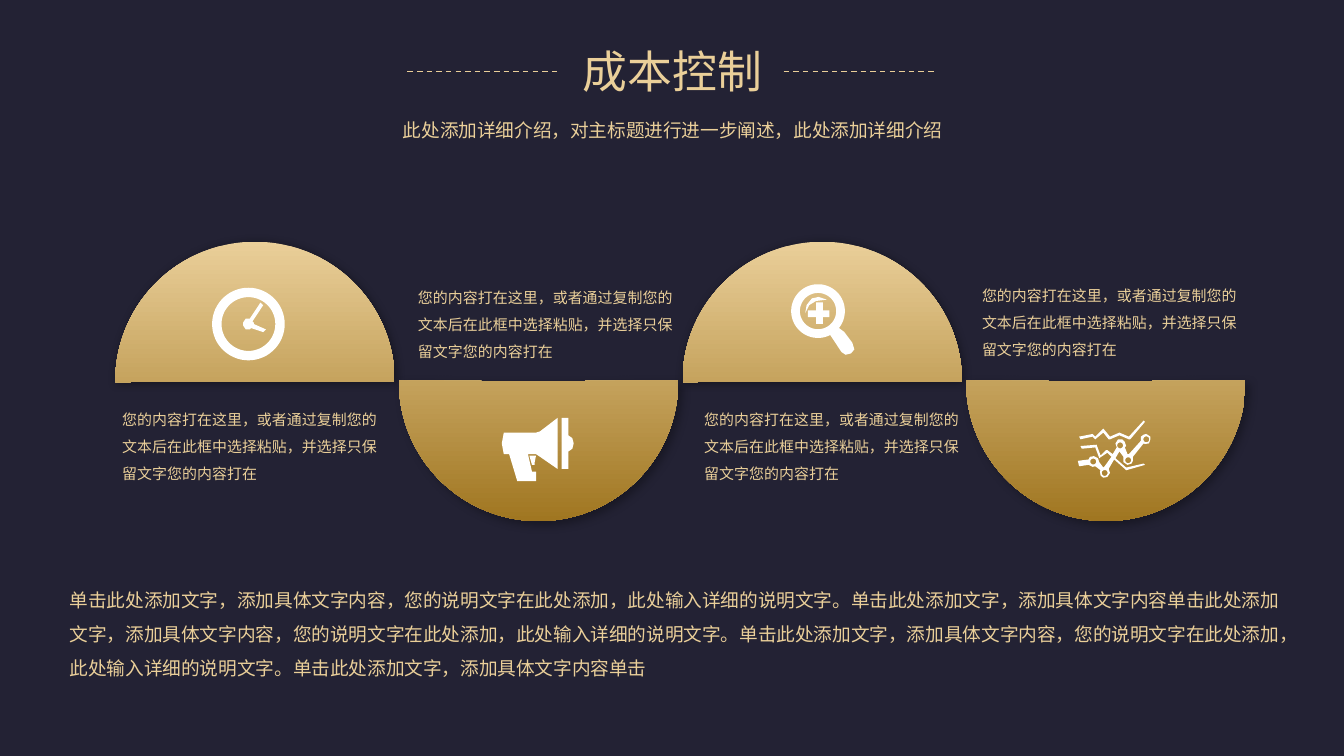
from math import cos, radians, sin

from lxml import etree
from pptx import Presentation
from pptx import util as u
from pptx.dml.color import RGBColor
from pptx.enum import dml, shapes, text
from pptx.oxml.ns import qn

NIGHT = RGBColor(0x23, 0x22, 0x34)
LIGHT_GOLD = RGBColor(0xEA, 0xCF, 0x99)
DARK_GOLD = RGBColor(0xA0, 0x76, 0x21)
WHITE = RGBColor(0xFF, 0xFF, 0xFF)
FONT = "Noto Sans CJK SC"
GRID = u.Cm(2.54) / 100  # unit of the icon drawings


def arc(cx, cy, r, start=0, end=360, step=6):
    """Points along a circle, clockwise from start to end in degrees."""
    return [(cx + r * cos(radians(a)), cy + r * sin(radians(a)))
            for a in range(start, end, step)]


# Icons: contours on the grid, where inner contours cut holes
CLOCK = [
    arc(27, 27, 27),
    arc(27, 27, 20),
    [(31, 26), (30, 25), (38, 13), (36, 11), (28, 23), (25, 23), (23, 26),
     (23, 28), (25, 31), (28, 31), (29, 30), (38, 33), (40, 31), (31, 27)],
]
MEGAPHONE = [
    [(2, 11), (26, 11), (29, 10), (42, 0), (42, 38), (29, 29), (26, 27), (20, 27),
     (23, 40), (26, 40), (26, 47), (12, 47), (6, 27), (2, 27), (0.5, 19)],
    [(50, 13), (53, 15), (54, 19), (53, 23), (50, 25), (50, 38), (45, 38),
     (45, 0), (50, 0)],
    [(26, 28), (21, 28), (23, 35), (25, 35), (25, 33)],
]
MAGNIFIER = [
    arc(20.5, 20.5, 20, 63, 401) + [
        (40, 36), (46, 44), (47.5, 49), (45, 52), (41, 53), (38, 51), (32, 42)],
    arc(20.5, 20.5, 13.5),
    [(19, 14), (24, 14), (24, 20), (29, 20), (29, 25), (24, 25),
     (24, 30), (19, 30), (19, 25), (13, 25), (13, 20), (19, 20)],
    [(11, 22), (14, 16), (19, 13), (27, 12), (21, 10), (16, 11), (12, 16)],
]
LINE_CHART = [
    [(0, 30), (8, 29), (9, 27), (12, 26.5), (15, 28), (16, 31), (19, 35), (20, 34),
     (25, 27), (22, 24), (16, 28), (13, 20), (3, 21), (2, 19), (14, 18), (17, 26),
     (21, 22), (22, 22), (26, 25), (29, 20), (28, 17), (30, 14), (33, 14), (35, 16),
     (36, 19), (35, 20), (37, 25), (38, 25), (47, 15), (47, 12), (49, 10.5),
     (51, 10), (54, 12), (54, 14), (53, 17), (50, 17.5), (49, 17), (41, 27),
     (41, 30), (40, 32), (37, 33), (34, 31), (34, 27), (31, 23), (28, 28), (36, 35),
     (49, 32), (50, 33), (36, 37), (35, 36), (27, 29), (23, 36), (24, 39), (22, 42),
     (19, 42.5), (17, 41), (16.5, 38), (17, 37), (13, 34), (11, 34.5), (8, 33),
     (1, 34)],
    [(1, 12), (2, 14), (11, 12), (13, 14), (19, 9), (23, 14), (24, 14), (31, 11),
     (38, 14), (39, 14), (50, 1), (49, 0), (38, 12), (31, 9), (24, 12), (19, 6),
     (13, 12), (11, 10)],
] + [arc(x, y, 2.2, step=20) for x, y in
     [(51, 14), (37.5, 29.5), (31.5, 18.5), (20, 39), (11.5, 30.5)]]


class Deck:
    def __init__(self, width, height):
        self.prs = Presentation()
        self.prs.slide_width, self.prs.slide_height = u.Cm(width), u.Cm(height)
        self.s = self.prs.slides.add_slide(self.prs.slide_layouts[6])
        self.s.background.fill.solid()
        self.s.background.fill.fore_color.rgb = NIGHT

    def gold(self, fill):
        fill.gradient()
        fill.gradient_angle = 270
        for stop, color in zip(fill.gradient_stops, (LIGHT_GOLD, DARK_GOLD)):
            stop.color.rgb = color

    def text(self, words, left, top, width, height, size, spacing=1.0, centred=False):
        sp = self.s.shapes.add_textbox(*map(u.Cm, (left, top, width, height)))
        tf = sp.text_frame
        tf.word_wrap = True
        p = tf.paragraphs[0]
        p.line_spacing = spacing
        p.alignment = text.PP_ALIGN.CENTER if centred else text.PP_ALIGN.LEFT
        r = p.add_run()
        r.text = words
        r.font.size = u.Pt(size)
        self.gold(r.font.fill)
        r.font.name = FONT
        etree.SubElement(r.font._element, qn("a:ea"), typeface=FONT)

    def half_disc(self, group, left, top, size, angles, alpha, distance):
        sp = group.shapes.add_shape(shapes.MSO_SHAPE.ARC,
                                    *map(u.Cm, (left, top, size, size)))
        for i, angle in enumerate(angles):
            sp.adjustments[i] = angle * 0.6  # adjustments count 100000 of 1/60000 degree
        self.gold(sp.fill)
        sp.line.fill.background()
        sp.shadow.inherit = False
        effects = sp._element.spPr.find(qn("a:effectLst"))
        shadow = etree.SubElement(effects, qn("a:outerShdw"), blurRad=str(u.Pt(5)),
                                  dist=str(u.Pt(distance)), dir="2700000",
                                  algn="tl", rotWithShape="0")
        color = etree.SubElement(shadow, qn("a:srgbClr"), val="000000")
        etree.SubElement(color, qn("a:alpha"), val=str(alpha * 1000))

    def icon(self, group, contours, left, top):
        outlines = [[(u.Cm(left) + x * GRID, u.Cm(top) + y * GRID) for x, y in c]
                    for c in contours]
        pen = group.shapes.build_freeform(*outlines[0][0])
        for i, points in enumerate(outlines):
            if i:
                pen.move_to(*points[0])
            pen.add_line_segments(points[1:], close=True)
        sp = pen.convert_to_shape()
        sp.fill.solid()
        sp.fill.fore_color.rgb = WHITE
        sp.line.fill.background()
        sp.shadow.inherit = False

    def dashes(self, left, y, length):
        c = self.s.shapes.add_connector(shapes.MSO_CONNECTOR.STRAIGHT,
                                        *map(u.Cm, (left, y, left + length, y)))
        c.line.color.rgb = LIGHT_GOLD
        c.line.width = u.Pt(0.75)
        c.line.dash_style = dml.MSO_LINE.DASH
        etree.SubElement(c._element.spPr, qn("a:effectLst"))


def main():
    d = Deck(25.4, 14.29)

    # Four half discs in a wave, each with an icon and a caption
    caption = "您的内容打在这里，或者通过复制您的文本后在此框中选择粘贴，并选择只保留文字您的内容打在"
    upper = ((179.7, 0), 40, 1)
    lower = ((359.53, 180.38), 30, 3)
    columns = [
        (upper, CLOCK, (4.01, 5.44), (2.06, 7.47)),
        (lower, MEGAPHONE, (9.47, 7.9), (7.65, 5.16)),
        (upper, MAGNIFIER, (14.94, 5.36), (13.06, 7.47)),
        (lower, LINE_CHART, (20.37, 7.95), (18.31, 5.13)),
    ]
    for i, (half, icon, icon_at, caption_at) in enumerate(columns):
        d.text(caption, *caption_at, 5.54, 1.8, 8, 1.5)
        group = d.s.shapes.add_group_shape()
        d.half_disc(group, 2.18 + 5.36 * i, 4.57, 5.28, *half)
        d.icon(group, icon, *icon_at)

    # Closing paragraph
    d.text("单击此处添加文字，添加具体文字内容，您的说明文字在此处添加，此处输入详细的说明文字。"
           "单击此处添加文字，添加具体文字内容单击此处添加文字，添加具体文字内容，"
           "您的说明文字在此处添加，此处输入详细的说明文字。单击此处添加文字，添加具体文字内容，"
           "您的说明文字在此处添加，此处输入详细的说明文字。单击此处添加文字，添加具体文字内容单击",
           1.07, 10.8, 23.6, 2.59, 10, 1.5)

    # Title between dashed lines, with its subtitle
    d.text("成本控制", 10.74, 0.71, 3.94, 1.3, 24, centred=True)
    d.text("此处添加详细介绍，对主标题进行进一步阐述，此处添加详细介绍",
           4.9, 2.03, 15.62, 0.71, 10, 1.2, centred=True)
    for left in (14.81, 7.7):
        d.dashes(left, 1.35, 2.9)

    d.prs.save("out.pptx")


if __name__ == "__main__":
    main()
